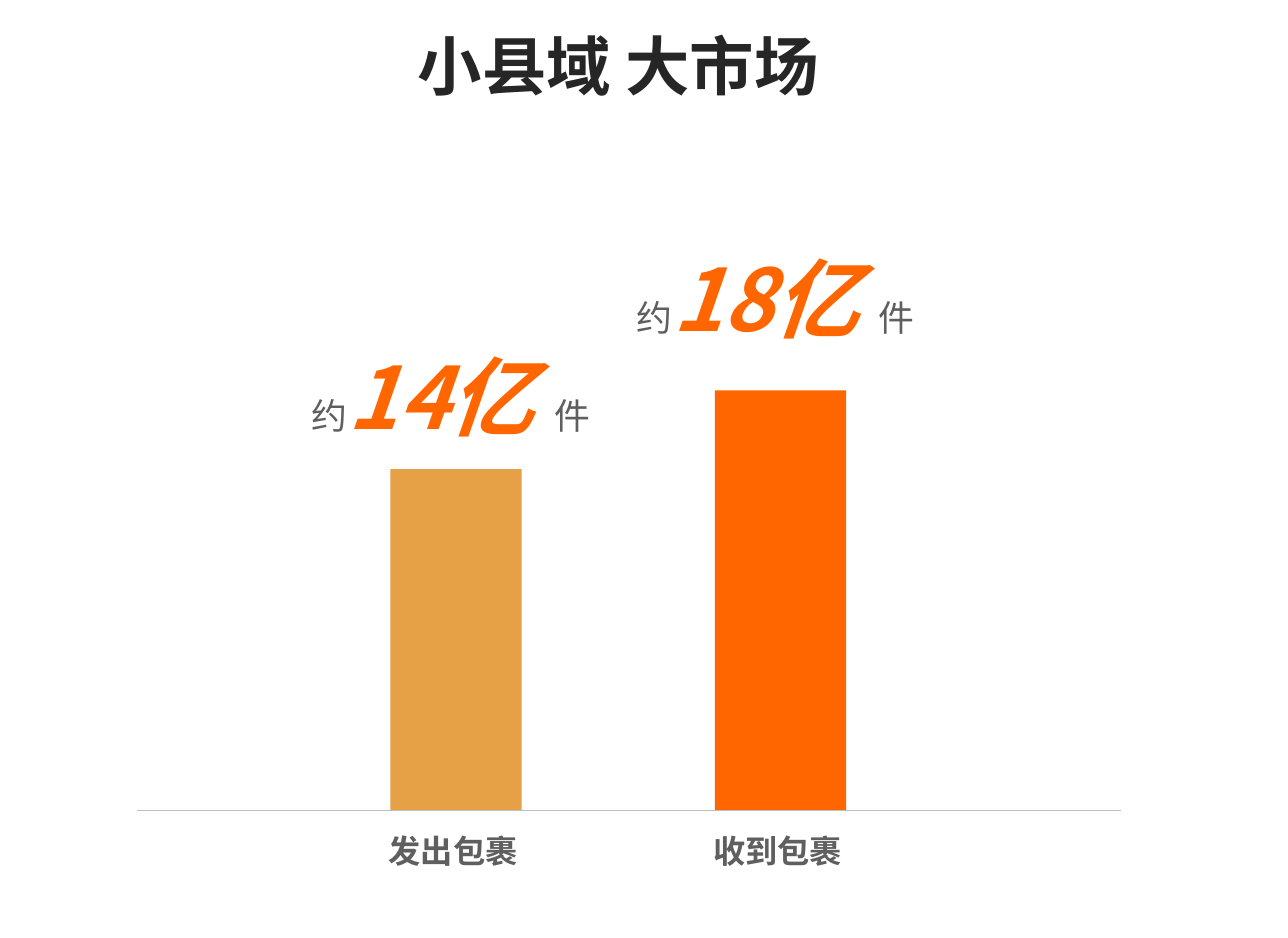
"""Build a slide that compares parcels sent from and received in counties."""
from lxml.etree import SubElement
from pptx import Presentation
from pptx.dml.color import RGBColor
from pptx.enum.shapes import MSO_CONNECTOR, MSO_SHAPE
from pptx.enum.text import MSO_ANCHOR, MSO_AUTO_SIZE, PP_ALIGN
from pptx.oxml.ns import qn
from pptx.util import Inches, Pt

FONT = "Noto Sans CJK SC"
INK = RGBColor(0x26, 0x26, 0x26)
GREY = RGBColor(0x5F, 0x5F, 0x5F)
AXIS = RGBColor(0xBF, 0xBF, 0xBF)
AMBER = RGBColor(0xE6, 0xA0, 0x46)
ORANGE = RGBColor(0xFF, 0x66, 0x00)

BASELINE = 6.29
BAR_WIDTH = 1.02
BARS = [
    (3.03, 3.64, AMBER, "14亿 ", 2.46, "发出包裹"),
    (5.55, 3.03, ORANGE, "18亿 ", 1.7, "收到包裹"),
]


def add_text(s, left, top, width, height, wrap=True):
    """Add an empty text box and return its text frame."""
    sp = s.shapes.add_textbox(Inches(left), Inches(top), Inches(width), Inches(height))
    tf = sp.text_frame
    tf.word_wrap = wrap
    tf.auto_size = MSO_AUTO_SIZE.SHAPE_TO_FIT_TEXT
    return tf


def add_run(p, text, size, color, bold=False, italic=False):
    """Add one run in the slide's font."""
    r = p.add_run()
    r.text = text
    r.font.size = Pt(size)
    r.font.bold = bold
    r.font.italic = italic
    r.font.color.rgb = color
    r.font.name = FONT
    SubElement(r.font._element, qn("a:ea"), typeface=FONT)


def add_title(s, text):
    """Add the centred slide title."""
    tf = add_text(s, 0.35, 0.12, 8.9, 0.76)
    tf.auto_size = MSO_AUTO_SIZE.NONE
    tf.vertical_anchor = MSO_ANCHOR.MIDDLE
    p = tf.paragraphs[0]
    p.alignment = PP_ALIGN.CENTER
    add_run(p, text, 36, INK, bold=True)


def add_bar(s, left, top, color):
    """Add a bar that stands on the baseline."""
    sp = s.shapes.add_shape(MSO_SHAPE.RECTANGLE, Inches(left), Inches(top),
                            Inches(BAR_WIDTH), Inches(BASELINE - top))
    sp.shadow.inherit = False
    sp.fill.solid()
    sp.fill.fore_color.rgb = color
    sp.line.fill.background()


def add_amount(s, left, top, amount):
    """Add the large amount above a bar."""
    p = add_text(s, left, top, 2.68, 1.07).paragraphs[0]
    p.alignment = PP_ALIGN.CENTER
    p.line_spacing = 1.2
    before = SubElement(p._p.get_or_add_pPr(), qn("a:spcBef"))
    SubElement(before, qn("a:spcPct"), val="20000")
    add_run(p, "约", 20, GREY)
    add_run(p, amount, 48, ORANGE, bold=True, italic=True)
    add_run(p, "件", 20, GREY)


def add_category(s, left, text):
    """Add the name of a bar below the baseline."""
    p = add_text(s, left, 6.4, 1.21, 0.4, wrap=False).paragraphs[0]
    add_run(p, text, 18, GREY, bold=True)


def add_axis(s):
    """Add the baseline of the bars."""
    line = s.shapes.add_connector(MSO_CONNECTOR.STRAIGHT, Inches(1.06), Inches(BASELINE),
                                  Inches(8.7), Inches(BASELINE))
    line.line.color.rgb = AXIS
    line.line.width = Pt(1)
    SubElement(line._element.spPr, qn("a:effectLst"))


def main():
    """Build and save the slide."""
    prs = Presentation()
    prs.slide_width, prs.slide_height = Inches(10), Inches(7.28)
    s = prs.slides.add_slide(prs.slide_layouts[6])
    for left, top, color, amount, amount_top, category in BARS:
        add_bar(s, left, top, color)
        add_amount(s, left - 0.87, amount_top, amount)
        add_category(s, left - 0.11, category)
    add_axis(s)
    add_title(s, "小县域 大市场")
    prs.save("out.pptx")


if __name__ == "__main__":
    main()
